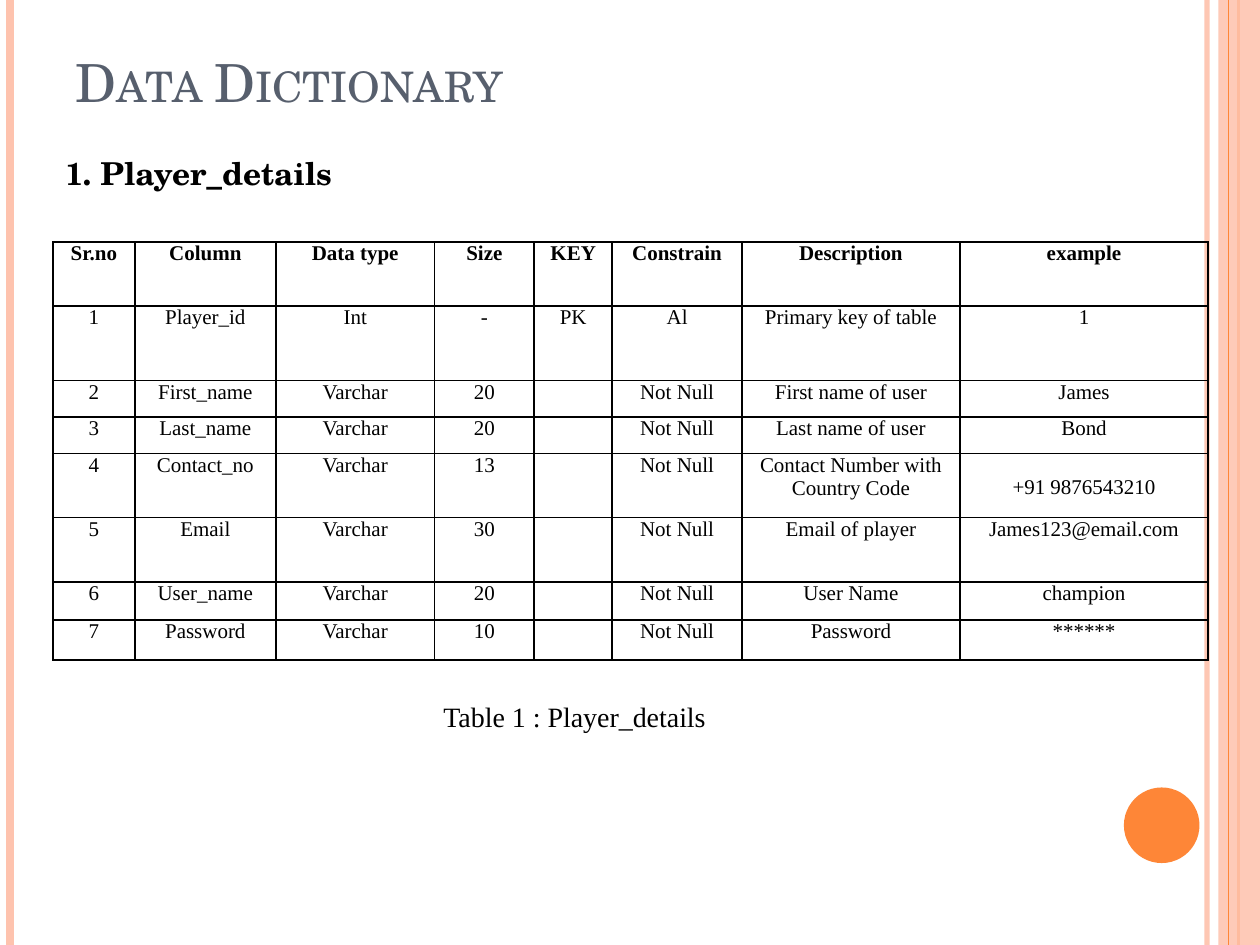
from dataclasses import dataclass

from lxml import etree
from pptx import Presentation
from pptx import util as u
from pptx.dml import color
from pptx.enum import shapes, text
from pptx.oxml import ns


@dataclass(frozen=True)
class Theme:
    peach: str = "FEC3AE"
    orange: str = "FE8637"
    slate: str = "575F6D"
    black: str = "000000"
    serif: str = "TeX Gyre Schola"
    roman: str = "Times New Roman"
    title_size: int = 30
    heading_size: int = 18
    caption_size: int = 16
    cell_size: int = 12


THEME = Theme()
COLUMN_WIDTHS = [0.65, 1.12, 1.26, 0.79, 0.62, 1.03, 1.73, 1.97]
ROW_HEIGHTS = [0.51, 0.59, 0.29, 0.29, 0.51, 0.51, 0.3, 0.32]
HEADERS = ["Sr.no", "Column", "Data type", "Size", "KEY", "Constrain", "Description", "example"]
FIELDS = [
    ["Player_id", "Int", "-", "PK", "Al", "Primary key of table", "1"],
    ["First_name", "Varchar", "20", "", "Not Null", "First name of user", "James"],
    ["Last_name", "Varchar", "20", "", "Not Null", "Last name of user", "Bond"],
    ["Contact_no", "Varchar", "13", "", "Not Null", "Contact Number with Country Code",
     "+91 9876543210"],
    ["Email", "Varchar", "30", "", "Not Null", "Email of player", "James123@email.com"],
    ["User_name", "Varchar", "20", "", "Not Null", "User Name", "champion"],
    ["Password", "Varchar", "10", "", "Not Null", "Password", "******"],
]


def inches(box):
    return [u.Inches(value) for value in box]


def set_all(target, formats):
    for name, value in formats.items():
        setattr(target, name, value)


def add_child(parent, tag, **attributes):
    return etree.SubElement(parent, ns.qn(tag), **attributes)


def set_font(font, name, size, rgb, bold=False):
    set_all(font, {"name": name, "size": u.Pt(size), "bold": bold})
    font.color.rgb = color.RGBColor.from_string(rgb)


def set_opacity(shape, percent):
    for tint in shape._element.spPr.iter(ns.qn("a:srgbClr")):
        add_child(tint, "a:alpha", val=str(percent * 1000))


def add_stripe(page, left, top, height, rgb, width):
    x, start, end = inches([left, top, top + height])
    stripe = page.shapes.add_connector(shapes.MSO_CONNECTOR.STRAIGHT, x, start, x, end)
    stripe.line.color.rgb = color.RGBColor.from_string(rgb)
    stripe.line.width = u.Pt(width)
    add_child(stripe._element.spPr, "a:effectLst")
    return stripe


def add_solid(page, kind, box, rgb):
    solid = page.shapes.add_shape(kind, *inches(box))
    solid.shadow.inherit = False
    solid.fill.solid()
    solid.fill.fore_color.rgb = color.RGBColor.from_string(rgb)
    solid.line.fill.background()
    return solid


def add_frame(page, box):
    """Side stripes, the right band and the corner disc."""
    left, top, width, height = box
    right = left + width
    set_opacity(add_stripe(page, right - 0.42, top, height, THEME.peach, 3), 93)
    add_stripe(page, left + 0.08, top, height, THEME.peach, 4.5)
    add_stripe(page, right - 0.17, top, height, THEME.orange, 1.5)
    band = add_solid(page, shapes.MSO_SHAPE.RECTANGLE,
                     (right - 0.33, top, 0.33, height), THEME.peach)
    set_opacity(band, 87)
    add_stripe(page, right - 0.25, top, height, THEME.orange, 0.75)
    add_solid(page, shapes.MSO_SHAPE.OVAL,
              (right - 1.08, top + height - 1.25, 0.6, 0.6), THEME.orange)


def add_title(page, box, words):
    title = page.shapes.title
    set_all(title, dict(zip(("left", "top", "width", "height"), inches(box))))
    set_all(title.text_frame, {"word_wrap": True, "auto_size": text.MSO_AUTO_SIZE.NONE,
                               "vertical_anchor": text.MSO_ANCHOR.MIDDLE})
    para = title.text_frame.paragraphs[0]
    para.alignment = text.PP_ALIGN.LEFT
    span = para.add_run()
    span.text = words
    set_font(span.font, THEME.serif, THEME.title_size, THEME.slate)
    span._r.get_or_add_rPr().set("cap", "small")


def add_label(page, box, words, font_name, size, bold=False):
    frame = page.shapes.add_textbox(*inches(box)).text_frame
    frame.word_wrap = False
    span = frame.paragraphs[0].add_run()
    span.text = words
    set_font(span.font, font_name, size, THEME.black, bold)


def add_borders(cell):
    properties = cell._tc.get_or_add_tcPr()
    for index, side in enumerate(("a:lnL", "a:lnR", "a:lnT", "a:lnB")):
        line = etree.Element(ns.qn(side), w=str(u.Pt(1)))
        add_child(add_child(line, "a:solidFill"), "a:srgbClr", val=THEME.black)
        properties.insert(index, line)


def fill_cell(cell, words, bold):
    set_all(cell, {"margin_left": u.Inches(0.07), "margin_right": u.Inches(0.07),
                   "margin_top": 0, "margin_bottom": 0})
    cell.fill.background()
    add_borders(cell)
    para = cell.text_frame.paragraphs[0]
    para.alignment = text.PP_ALIGN.CENTER
    if words:
        span = para.add_run()
        span.text = words
        set_font(span.font, THEME.roman, THEME.cell_size, THEME.black, bold)
    else:
        # Keeps an empty cell from stretching its row
        add_child(para._p, "a:endParaRPr", sz=str(THEME.cell_size * 100))


def add_dictionary(page, box):
    rows = [HEADERS] + [[str(number), *field] for number, field in enumerate(FIELDS, 1)]
    table = page.shapes.add_table(len(rows), len(HEADERS), *inches(box)).table
    set_all(table, {"first_row": False, "horz_banding": False})
    for column, width in zip(table.columns, COLUMN_WIDTHS):
        column.width = u.Inches(width)
    for row, height, words in zip(table.rows, ROW_HEIGHTS, rows):
        row.height = u.Inches(height)
        for cell, word in zip(row.cells, words):
            fill_cell(cell, word, bold=words is HEADERS)
    # The phone number sits level with the second line of its description
    table.cell(4, 7).margin_top = u.Inches(0.18)


def main():
    deck = Presentation()
    set_all(deck, {"slide_width": u.Inches(10), "slide_height": u.Inches(7.5)})
    page = deck.slides.add_slide(deck.slide_layouts[5])
    add_frame(page, (0, 0, 10, 7.5))
    add_title(page, (0.5, 0.3, 8.17, 0.7), "Data Dictionary")
    add_label(page, (0.42, 1.17, 2.44, 0.4), "1. Player_details",
              THEME.serif, THEME.heading_size, bold=True)
    add_dictionary(page, (0.42, 1.92, 9.17, 3.33))
    add_label(page, (3.42, 5.5, 2.32, 0.64), "Table 1 : Player_details",
              THEME.roman, THEME.caption_size)
    deck.save("out.pptx")


if __name__ == "__main__":
    main()
